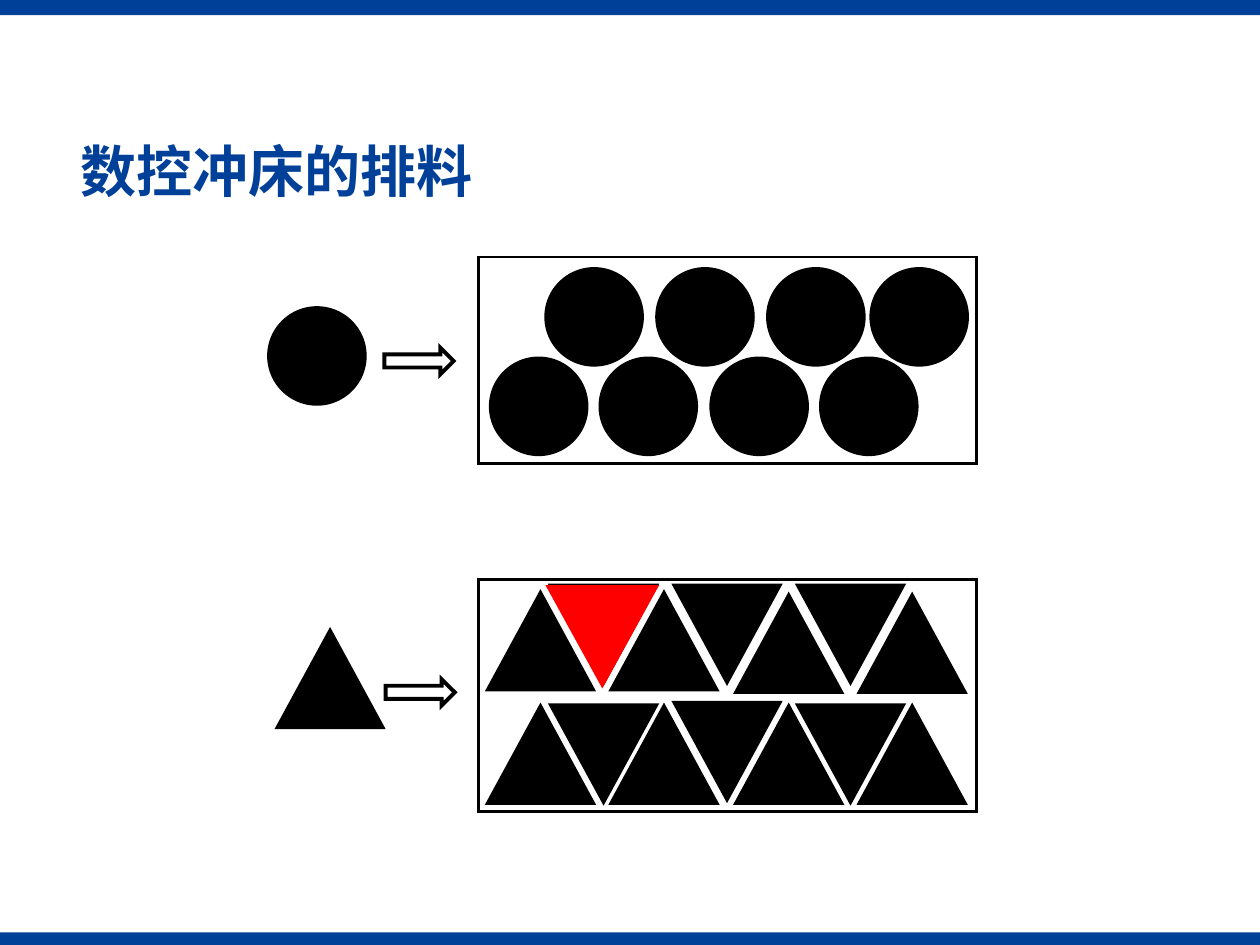
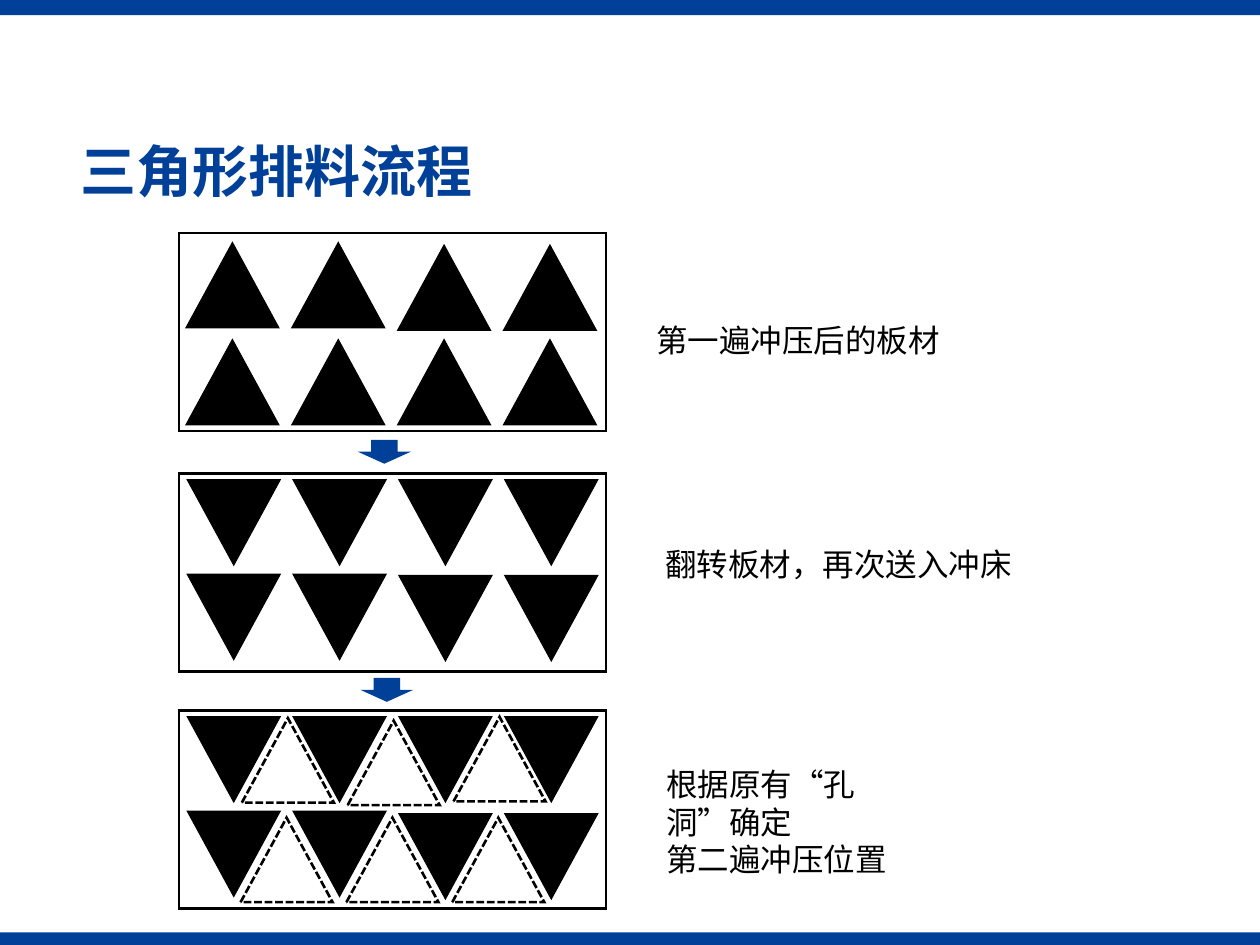
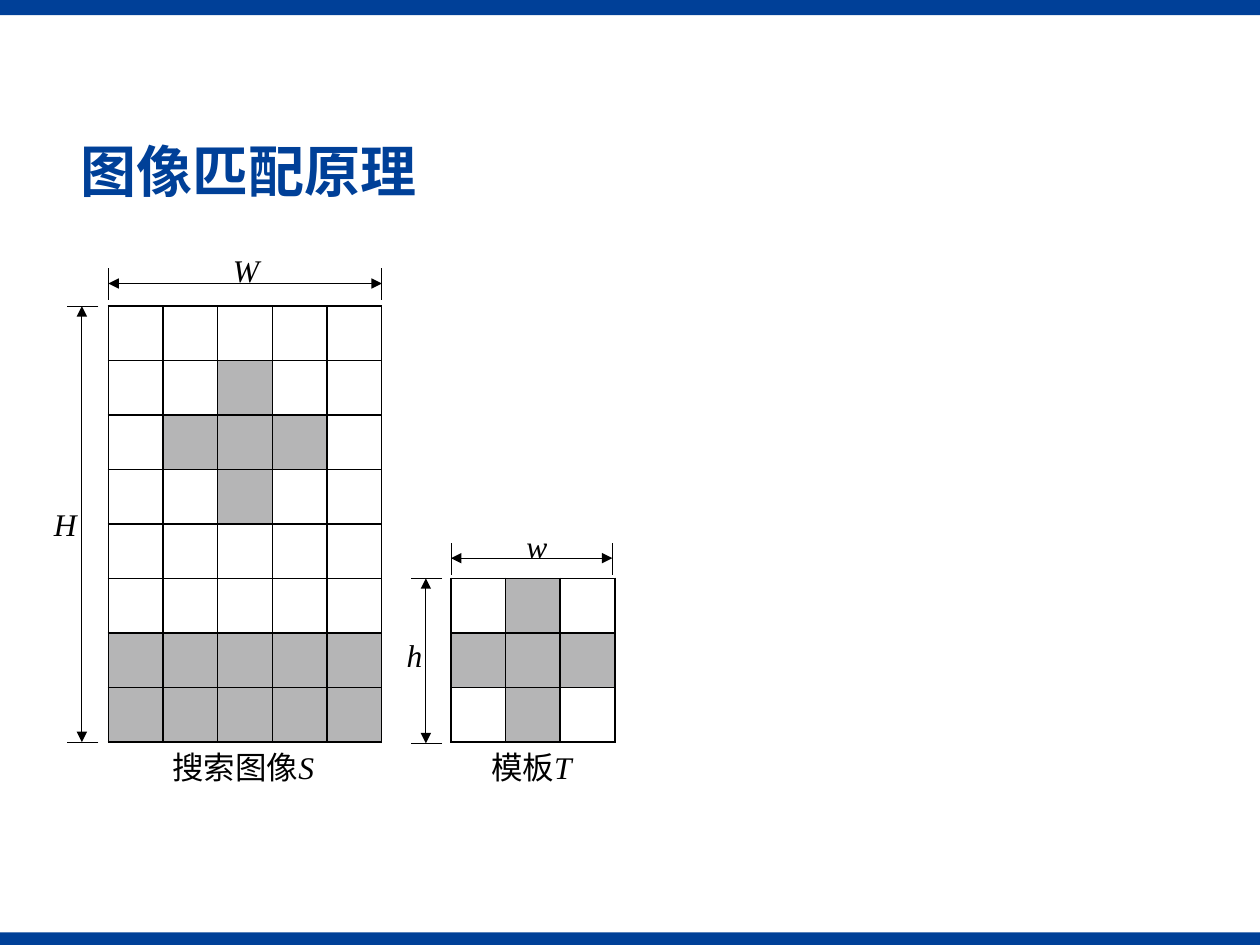
from dataclasses import dataclass
from lxml.etree import SubElement as Sub
from pptx import Presentation
from pptx.dml.color import RGBColor as RGB
from pptx.enum.dml import MSO_LINE as Dash
from pptx.enum.shapes import MSO_CONNECTOR as Link, MSO_SHAPE as Kind
from pptx.enum.text import MSO_ANCHOR as Anchor, MSO_AUTO_SIZE as Fit, PP_ALIGN as Align
from pptx.oxml.ns import qn
from pptx.util import Emu, Pt


@dataclass(frozen=True)
class Theme:
    blue: RGB = RGB(0x00, 0x40, 0x98)
    black: RGB = RGB(0x00, 0x00, 0x00)
    red: RGB = RGB(0xFF, 0x00, 0x00)
    grey: RGB = RGB(0xB5, 0xB5, 0xB6)
    head: Pt = Pt(32)
    body: Pt = Pt(18)
    thin: Pt = Pt(0.5)
    line: Pt = Pt(1)
    edge: Pt = Pt(1.5)
    bold: Pt = Pt(2.25)
    cjk: str = "Noto Sans CJK SC"
    math: str = "Times New Roman"


look = Theme()
PX = 9144  # 100 px to the inch


def draw(slide, kind, box, fill=None, line=None, width=None, dash=None, turn=0):
    shape = slide.shapes.add_shape(kind, *[Emu(n * PX) for n in box])
    shape.shadow.inherit = False
    shape.rotation = turn
    for part, color in ((shape.fill, fill), (shape.line.fill, line)):
        if color is None:
            part.background()
        else:
            part.solid()
            part.fore_color.rgb = color
    if line is not None:
        shape.line.width = width
        if dash:
            shape.line.dash_style = dash
        Sub(shape.element.spPr.get_or_add_ln(), qn("a:miter"), lim="800000")
    return shape


def write(para, text, size, color, bold=False):
    run = para.add_run()
    run.text = text
    latin = text.isascii()
    face = look.math if latin else look.cjk
    style = {"name": face, "size": size, "bold": bold, "italic": latin}
    for key, val in style.items():
        setattr(run.font, key, val)
    run.font.color.rgb = color
    Sub(run.font._element, qn("a:ea"), typeface=face)


# Deck and title layout
deck = Presentation()
deck.slide_width, deck.slide_height = Emu(1000 * PX), Emu(750 * PX)
base = deck.slide_layouts[5]
place = {"left": 54, "top": 107, "width": 916, "height": 63}
for key, val in place.items():
    setattr(base.placeholders[0], key, Emu(val * PX))

# Slides with titles
pages = []
for name in ("数控冲床的排料", "三角形排料流程", "图像匹配原理"):
    page = deck.slides.add_slide(base)
    frame = page.shapes.title.text_frame
    frame.auto_size = Fit.NONE
    frame.vertical_anchor = Anchor.MIDDLE
    para = frame.paragraphs[0]
    para.alignment = Align.LEFT
    para.line_spacing = 0.9
    write(para, name, look.head, look.blue, True)
    pages.append(page)
nest, flow, match = pages

# Bands, moved to the master
tree = deck.slide_master.element.cSld.spTree
for box in ((0, 740, 1000, 10), (0, 0, 1000, 12)):
    tree.append(draw(nest, Kind.RECTANGLE, box, look.blue).element)

# Nested discs
discs = [(212, 243)]
discs += [(388 + round(87.33 * i), 283) for i in range(4)]
discs += [(x, 212) for x in (432, 520, 608, 690)]
for x, y in discs:
    draw(nest, Kind.OVAL, (x, y, 79, 79), look.black)

# Nested triangles: left, step, tops, turn
solid = {"fill": look.black, "line": look.black, "width": look.line}
rows = [
    (219, 0, (499,), 0),
    (386, 98.33, (469, 469, 471, 471), 0),
    (386, 98.33, (559,) * 4, 0),
    (436, 98, (464,) * 3, 180),
    (436, 98, (559, 557, 559), 180),
]
for left, step, tops, turn in rows:
    for i, top in enumerate(tops):
        box = (left + round(step * i), top, 86, 79)
        draw(nest, Kind.ISOSCELES_TRIANGLE, box, turn=turn, **solid)

# Sheets, arrows and the red piece
frame = {"line": look.black, "width": look.edge}
for box in ((380, 204, 395, 164), (380, 460, 395, 184)):
    draw(nest, Kind.RECTANGLE, box, **frame)
for x, y in ((305, 276), (306, 539)):
    draw(nest, Kind.RIGHT_ARROW, (x, y, 55, 21), line=look.black, width=look.bold)
draw(nest, Kind.ISOSCELES_TRIANGLE, (434, 465, 88, 80), look.red, look.red, look.line, turn=180)

# Punching steps: left, tops, turn, style
dashed = {**frame, "dash": Dash.SQUARE_DOT}
rows = [
    (148, (193, 193, 195, 195), 0, solid),
    (148, (270,) * 4, 0, solid),
    (149, (381,) * 4, 180, solid),
    (149, (456, 456, 457, 457), 180, solid),
    (149, (569,) * 4, 180, solid),
    (149, (644, 644, 646, 646), 180, solid),
    (192, (570, 572, 569), 0, dashed),
    (191, (649,) * 3, 0, dashed),
]
for left, tops, turn, style in rows:
    for i, top in enumerate(tops):
        box = (left + 84 * i, top, 73, 67)
        draw(flow, Kind.ISOSCELES_TRIANGLE, box, turn=turn, **style)
for top in (185, 376, 564):
    draw(flow, Kind.RECTANGLE, (142, top, 339, 157), **frame)
for x, y in ((284, 349), (286, 538)):
    draw(flow, Kind.DOWN_ARROW, (x, y, 42, 19), look.blue)

# Pixel grids: box, columns, rows, grey cells
cross = [(0, 1), (1, 0), (1, 1), (1, 2), (2, 1)]
scene = [(r + 1, c + 1) for r, c in cross]
scene += [(r, c) for r in (6, 7) for c in range(5)]
grids = [((86, 243, 217, 346), 5, 8, scene), ((358, 459, 130, 130), 3, 3, cross)]
for box, wide, high, dark in grids:
    x, y, w, h = [Emu(n * PX) for n in box]
    grid = match.shapes.add_table(high, wide, x, y, w, h).table
    grid.first_row = grid.horz_banding = False
    for col in grid.columns:
        col.width = Emu(w // wide)
    for r, row in enumerate(grid.rows):
        row.height = Emu(h // high)
        for c, cell in enumerate(row.cells):
            for side in ("left", "right", "top", "bottom"):
                setattr(cell, f"margin_{side}", 0)
            props = cell._tc.get_or_add_tcPr()
            for side in "LRTB":
                edge = Sub(props, qn(f"a:ln{side}"), w=str(look.line))
                paint = Sub(edge, qn("a:solidFill"))
                Sub(paint, qn("a:srgbClr"), val=str(look.black))
            if (r, c) in dark:
                cell.fill.solid()
                cell.fill.fore_color.rgb = look.grey
            else:
                cell.fill.background()

# Dimension lines: ends and arrow flag
marks = []
for x1, x2, y in ((358, 486, 443), (86, 303, 225)):
    marks += [((x, y - 12, x, y + 13), False) for x in (x1, x2)]
    marks.append(((x1, y, x2, y), True))
for x, y1, y2 in ((338, 459, 590), (65, 243, 589)):
    marks += [((x + 13, y, x - 12, y), False) for y in (y1, y2)]
    marks.append(((x, y1, x, y2), True))
for ends, arrow in marks:
    rule = match.shapes.add_connector(Link.STRAIGHT, *[Emu(n * PX) for n in ends])
    rule.line.color.rgb = look.black
    rule.line.width = look.thin
    props = rule.element.spPr
    if arrow:
        for tip in ("headEnd", "tailEnd"):
            Sub(props.get_or_add_ln(), qn(f"a:{tip}"), type="triangle")
    Sub(props, qn("a:effectLst"))

# Captions: slide, box, paragraphs of runs
notes = [
    (flow, (518, 428, 298, 40), [["翻转板材，再次送入冲床"]]),
    (flow, (511, 250, 247, 40), [["第一遍冲压后的板材"]]),
    (flow, (519, 602, 240, 71), [["根据原有“孔洞”确定"], ["第二遍冲压位置"]]),
    (match, (380, 589, 85, 40), [["模板", "T"]]),
    (match, (127, 589, 134, 40), [["搜索图像", "S"]]),
    (match, (408, 413, 38, 40), [["w"]]),
    (match, (313, 500, 34, 40), [["h"]]),
    (match, (33, 396, 38, 40), [["H"]]),
    (match, (175, 194, 41, 40), [["W"]]),
]
for page, box, lines in notes:
    frame = page.shapes.add_textbox(*[Emu(n * PX) for n in box]).text_frame
    frame.word_wrap = True
    frame.auto_size = Fit.SHAPE_TO_FIT_TEXT
    for i, line in enumerate(lines):
        para = frame.add_paragraph() if i else frame.paragraphs[0]
        for text in line:
            write(para, text, look.body, look.black)

deck.save("out.pptx")
